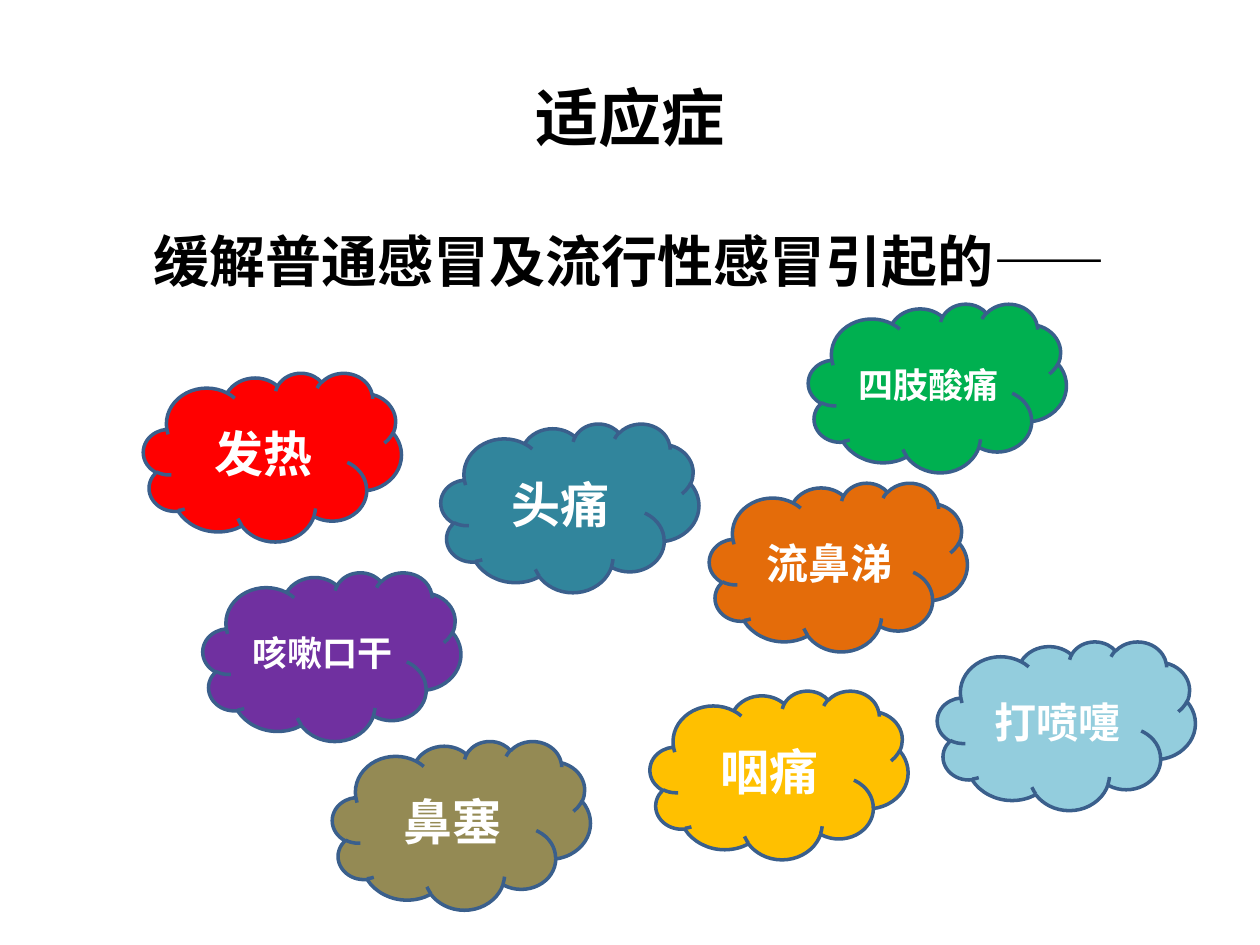
from lxml import etree
from pptx import Presentation
from pptx.dml.color import RGBColor
from pptx.enum.shapes import MSO_SHAPE
from pptx.enum.text import MSO_ANCHOR, PP_ALIGN
from pptx.oxml.ns import qn
from pptx.util import Pt

CLOUD = MSO_SHAPE.CLOUD
CENTER = PP_ALIGN.CENTER
TOP, MIDDLE = MSO_ANCHOR.TOP, MSO_ANCHOR.MIDDLE
HAN = "Noto Sans CJK SC"
LATIN = "Calibri"
COLORS = {
    "black": "000000", "white": "FFFFFF", "edge": "3A5F8C",
    "red": "FF0000", "teal": "31859C", "green": "00B050",
    "sky": "93CDDD", "orange": "E46C0A", "olive": "948A54",
    "gold": "FFC000", "purple": "7030A0",
}
SIZES = {2: 28, 3: 24, 4: 20}
SIGNS = [
    ("发热", "red", 82, 213),
    ("头痛", "teal", 252, 242),
    ("四肢酸痛", "green", 462, 173.5),
    ("打喷嚏", "sky", 535.7, 366.5),
    ("流鼻涕", "orange", 405.4, 275.8),
    ("鼻塞", "olive", 190, 423.4),
    ("咽痛", "gold", 371.5, 394.6),
    ("咳嗽口干", "purple", 116, 327),
]


def tint(name):
    return RGBColor.from_string(COLORS[name])


def write(shape, text, size, color, face, anchor):
    frame = shape.text_frame
    frame.text = text
    frame.word_wrap = True
    frame.vertical_anchor = anchor
    line = frame.paragraphs[0]
    line.alignment = CENTER
    font = line.runs[0].font
    font.size = Pt(size)
    font.bold = True
    font.color.rgb = tint(color)
    font.name = face
    latin = line.runs[0].font._element.find(qn("a:latin"))
    east = etree.Element(qn("a:ea"), typeface=HAN)
    latin.addnext(east)


def add_text(slide, text, top, height, size, anchor):
    box = slide.shapes.add_textbox(Pt(36), Pt(top), Pt(648), Pt(height))
    write(box, text, size, "black", HAN, anchor)


def add_cloud(slide, text, color, left, top):
    cloud = slide.shapes.add_shape(
        CLOUD, Pt(left), Pt(top), Pt(147.4), Pt(96.4))
    cloud.shadow.inherit = False
    cloud.fill.solid()
    cloud.fill.fore_color.rgb = tint(color)
    cloud.line.color.rgb = tint("edge")
    cloud.line.width = Pt(2)
    write(cloud, text, SIZES[len(text)], "white", LATIN, MIDDLE)


def main():
    deck = Presentation()
    deck.slide_width, deck.slide_height = Pt(720), Pt(540)
    slide = deck.slides.add_slide(deck.slide_layouts[6])
    add_text(slide, "适应症", 21.6, 90, 36, MIDDLE)
    add_text(slide, "缓解普通感冒及流行性感冒引起的——", 126, 53.3, 32, TOP)
    for sign in SIGNS:
        add_cloud(slide, *sign)
    deck.save("out.pptx")


if __name__ == "__main__":
    main()
